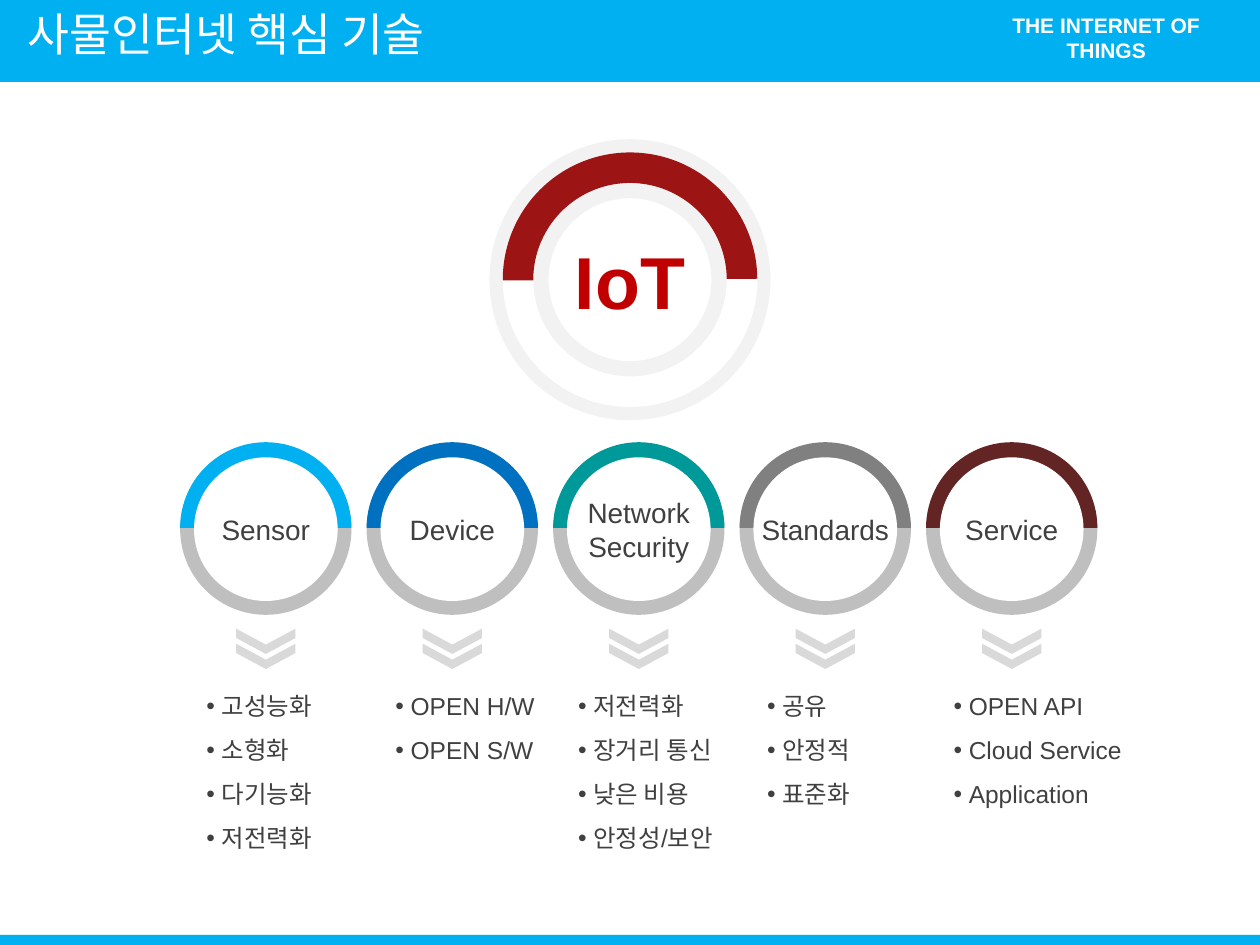
"""Build the slide on the core technologies of the Internet of Things."""
import lxml.etree
import pptx
import pptx.dml.color
import pptx.enum.shapes
import pptx.enum.text
import pptx.oxml.ns
import pptx.util

THEME = {
    "font": "Arial", "band": "00B0F0", "white": "FFFFFF", "text": "404040",
    "ring": "BFBFBF", "chevron": "D9D9D9", "pale": "F2F2F2",
    "arc": "9C1414", "core": "C00000",
    "title": 26, "tag": 12, "core_size": 42, "label": 16, "body": 14,
}
SHAPE = pptx.enum.shapes.MSO_SHAPE
ALIGN = pptx.enum.text.PP_ALIGN
ANCHOR = pptx.enum.text.MSO_ANCHOR
IN = pptx.util.Inches
RGB = pptx.dml.color.RGBColor.from_string
W, H = 10, 7.5
MID = W / 2
HUB_Y = 2.22
FIRST, PITCH, RING = 2.1, 1.48, 1.36
RING_Y = 4.2

prs = pptx.Presentation()
prs.slide_width, prs.slide_height = IN(W), IN(H)
s = prs.slides.add_slide(prs.slide_layouts[5])


def draw(kind, cx, cy, w, h, color, adj=(), rot=0):
    """Add a plain filled shape around a centre point."""
    sp = s.shapes.add_shape(kind, IN(cx - w / 2), IN(cy - h / 2), IN(w), IN(h))
    sp.shadow.inherit = False
    sp.fill.solid()
    sp.fill.fore_color.rgb = RGB(color)
    sp.line.fill.background()
    sp.rotation = rot
    for i, value in enumerate(adj):
        sp.adjustments[i] = value


def write(sp, box, text, size, color, bold=False, align=ALIGN.CENTER, anchor=ANCHOR.TOP):
    """Place a text shape, fill it and format its runs."""
    sp.left, sp.top, sp.width, sp.height = map(IN, box)
    tf = sp.text_frame
    tf.auto_size = pptx.enum.text.MSO_AUTO_SIZE.NONE
    tf.word_wrap = True
    tf.vertical_anchor = anchor
    tf.text = text
    for p in tf.paragraphs:
        p.alignment = align
        for r in p.runs:
            r.font.name = THEME["font"]
            r.font.size = pptx.util.Pt(THEME[size])
            r.font.bold = bold
            r.font.color.rgb = RGB(THEME[color])
    return tf


draw(SHAPE.RECTANGLE, MID, 0.31, W, 0.68, THEME["band"])
draw(SHAPE.RECTANGLE, MID, H - 0.04, W, 0.08, THEME["band"])
title = s.shapes.title
title.element.getparent().append(title.element)
write(title, (0.12, 0, 3.74, 0.54), "사물인터넷 핵심 기술", "title", "white", align=ALIGN.LEFT)
write(s.shapes.add_textbox(0, 0, 0, 0), (7.6, 0.05, 2.36, 0.5),
      "THE INTERNET OF THINGS", "tag", "white", bold=True)

draw(SHAPE.DONUT, MID, HUB_Y, 2.23, 2.23, THEME["pale"], (0.21,))
draw(SHAPE.BLOCK_ARC, MID, HUB_Y, 2.02, 2.02, THEME["white"], (77.89, 215.75, 0.12), 228.4)
draw(SHAPE.BLOCK_ARC, MID, HUB_Y, 2.02, 2.02, THEME["arc"], (107.8, 215.75, 0.12))
write(s.shapes.add_textbox(0, 0, 0, 0), (MID - 0.8, 1.82, 1.6, 0.81),
      "IoT", "core_size", "core", bold=True)

columns = [
    ("Sensor", "00B0F0", 1.47, 1.26, ["고성능화", "소형화", "다기능화", "저전력화"]),
    ("Device", "0070C0", 2.97, 1.41, ["OPEN H/W", "OPEN S/W"]),
    ("Network\nSecurity", "009999", 4.42, 1.69,
     ["저전력화", "장거리 통신", "낮은 비용", "안정성/보안"]),
    ("Standards", "808080", 5.92, 1.26, ["공유", "안정적", "표준화"]),
    ("Service", "632523", 7.4, 1.85, ["OPEN API", "Cloud Service", "Application"]),
]
for col, (label, color, left, width, items) in enumerate(columns):
    cx = FIRST + col * PITCH + 0.01
    draw(SHAPE.OVAL, cx, RING_Y, RING, RING, THEME["ring"])
    draw(SHAPE.PIE, cx, RING_Y - 0.01, RING, RING, color, (108, 0))
    draw(SHAPE.OVAL, cx, RING_Y, 1.14, 1.14, THEME["white"])
    for row in range(2):
        draw(SHAPE.CHEVRON, cx, 5.09 + row * 0.12, 0.2, 0.47, THEME["chevron"], (0.63,), 90)
    write(s.shapes.add_textbox(0, 0, 0, 0), (cx - 0.67, RING_Y - 0.32, 1.34, 0.64),
          label, "label", "text", anchor=ANCHOR.MIDDLE)
    tf = write(s.shapes.add_textbox(0, 0, 0, 0), (left, 5.32, width, 0.11 + 0.34 * len(items)),
               "\n".join(items), "body", "text", align=ALIGN.LEFT)
    for p in tf.paragraphs:
        p.line_spacing = 1.5
        pPr = p._p.get_or_add_pPr()
        pPr.set("marL", str(IN(0.19)))
        pPr.set("indent", str(IN(-0.12)))
        lxml.etree.SubElement(pPr, pptx.oxml.ns.qn("a:buFont"), typeface=THEME["font"])
        lxml.etree.SubElement(pPr, pptx.oxml.ns.qn("a:buChar"), char="•")

prs.save("out.pptx")
